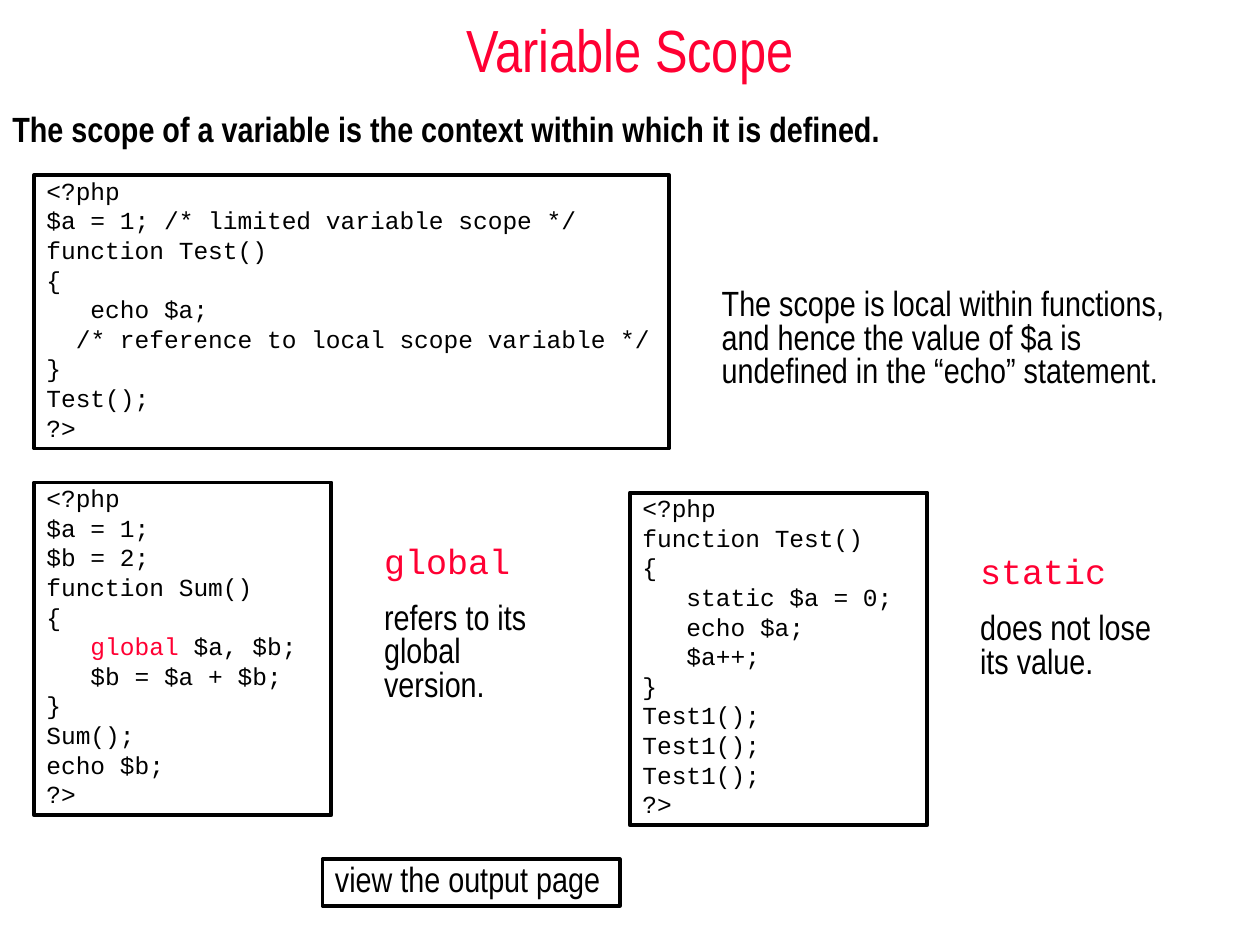
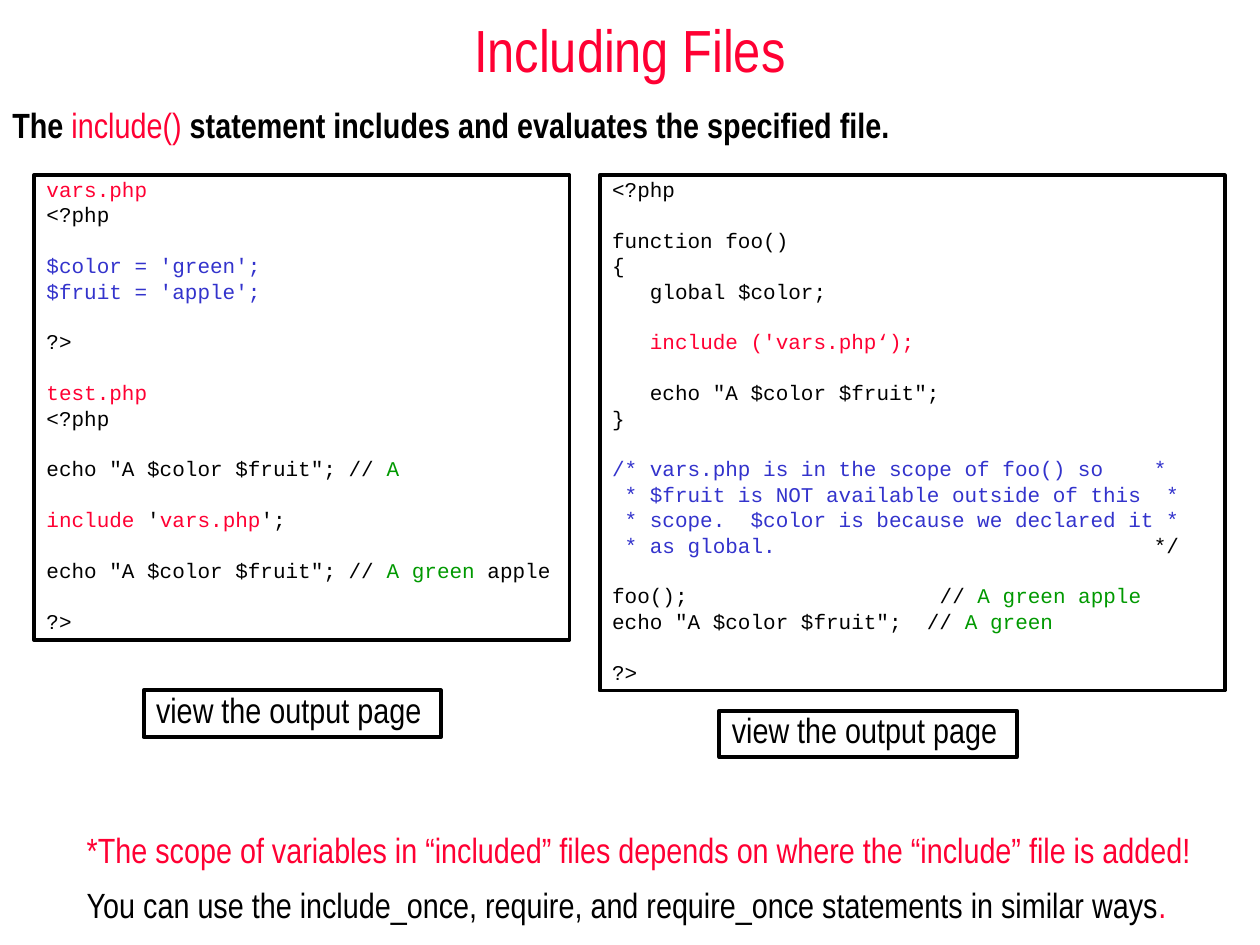
"""Build two slides on PHP variable scope and file inclusion."""
from pptx import Presentation
from pptx.dml.color import RGBColor
from pptx.enum import shapes, text
from pptx.oxml import ns, xmlchemy
from pptx import util as u

PX = 9144
BLACK = RGBColor(0x00, 0x00, 0x00)
RED = RGBColor(0xFF, 0x00, 0x33)
BLUE = RGBColor(0x33, 0x33, 0xCC)
GREEN = RGBColor(0x00, 0x99, 0x00)
SANS, MONO = "Arial Narrow", "Courier New"
CHAR_WIDTH = 0.6

TITLE = {"name": SANS, "size": 34, "color": RED, "bold": False, "before": 0, "line": 1.0}
PROSE = {"name": SANS, "size": 20, "color": BLACK, "bold": False, "before": 12.5, "line": 0.8}
LEAD = PROSE | {"bold": True, "before": 5}
CODE = PROSE | {"name": MONO, "size": 14, "before": 3.5}
SMALL_CODE = CODE | {"size": 12, "before": 3}


def add_spans(para, spans, style):
    """Add strings, (string, changes) pairs, and tab columns given as whole numbers."""
    properties = para._p.get_or_add_pPr()
    for item in spans:
        if isinstance(item, int):
            stops = xmlchemy.OxmlElement("a:tabLst")
            stop = xmlchemy.OxmlElement("a:tab")
            stop.set("pos", str(u.Pt(item * CHAR_WIDTH * style["size"])))
            stop.set("algn", "l")
            stops.append(stop)
            properties.append(stops)
            item = "\t"
        words, changes = item if isinstance(item, tuple) else (item, {})
        look = style | changes
        span = para.add_run()
        span.text = words
        for name, value in {"name": look["name"], "size": u.Pt(look["size"]),
                            "bold": look["bold"]}.items():
            setattr(span.font, name, value)
        span.font.color.rgb = look["color"]


def add_text(page, place, lines, style, framed=False):
    """Add a text box or framed box; an empty line widens the gap above the next one."""
    left, top, width, height = (n * PX for n in place)
    if framed:
        box = page.shapes.add_shape(shapes.MSO_SHAPE.RECTANGLE, left, top, width, height)
        box.shadow.inherit = False
        box.fill.background()
        box.line.color.rgb = BLACK
        box.line.width = u.Pt(2.25)
    else:
        box = page.shapes.add_textbox(left, top, width, height)
    frame = box.text_frame
    for name, value in {"word_wrap": True, "auto_size": text.MSO_AUTO_SIZE.NONE,
                        "vertical_anchor": text.MSO_ANCHOR.TOP}.items():
        setattr(frame, name, value)
    pitch = style["before"] + 1.2 * style["size"] * style["line"]
    skipped, started = 0, False
    for line in lines:
        spans = line if isinstance(line, list) else [line]
        if spans == [""]:
            skipped += 1
            continue
        para = frame.add_paragraph() if started else frame.paragraphs[0]
        for name, value in {"alignment": text.PP_ALIGN.LEFT, "line_spacing": style["line"],
                            "space_before": u.Pt(style["before"] + skipped * pitch)}.items():
            setattr(para, name, value)
        first, *others = spans
        words, changes = first if isinstance(first, tuple) else (first, {})
        indent = len(words) - len(words.lstrip())
        if indent > 1:
            para._p.get_or_add_pPr().set("marL", str(u.Pt(indent * CHAR_WIDTH * style["size"])))
            words = words.lstrip()
        add_spans(para, [(words, changes), *others], style)
        skipped, started = 0, True
    return frame


red, blue, green = ({"color": color} for color in (RED, BLUE, GREEN))
keyword = red | {"name": MONO}

scope_boxes = [
    ((27, 139, 504, 217), CODE, [
        "<?php", "$a = 1; /* limited variable scope */", "function Test()", "{",
        "   echo $a;", "  /* reference to local scope variable */", "}", "Test();", "?>"]),
    ((27, 383, 236, 264), CODE, [
        "<?php", "$a = 1;", "$b = 2;", "function Sum()", "{",
        [("   global", red), " $a, $b;"], "   $b = $a + $b;", "}", "Sum();", "echo $b;", "?>"]),
    ((500, 391, 236, 264), CODE, [
        "<?php", "function Test()", "{", "   static $a = 0;", "   echo $a;", "   $a++;", "}",
        *["Test1();"] * 3, "?>"]),
]
scope_notes = [
    ((563, 225, 394, 90), ["The scope is local within functions, and hence the value of $a is "
                           "undefined in the “echo” statement."]),
    ((295, 430, 165, 134), [("global", keyword), "refers to its global version."]),
    ((768, 438, 181, 108), [("static", keyword), "does not lose its value."]),
]

echo = 'echo "A $color $fruit"; // '
include_boxes = [
    ((27, 139, 425, 369), SMALL_CODE, [
        ("vars.php", red), "<?php", "",
        ("$color = 'green';", blue), ("$fruit = 'apple';", blue), "", "?>", "",
        ("test.php", red), "<?php", "",
        [echo, ("A", green)], "",
        [("include", red), " '", ("vars.php", red), "';"], "",
        [echo, ("A green", green), " apple"], "", "?>"]),
    ((476, 139, 496, 409), SMALL_CODE, [
        "<?php", "", "function foo()", "{", "   global $color;", "",
        ("   include ('vars.php‘);", red), "", '   echo "A $color $fruit";', "}", "",
        [("/* vars.php is in the scope of foo() so", blue), 43, ("*", blue)],
        (" * $fruit is NOT available outside of this  *", blue),
        (" * scope.  $color is because we declared it *", blue),
        [(" * as global.", blue), 43, "*/"], "",
        ["foo();", 26, "// ", ("A green apple", green)],
        ['echo "A $color $fruit";  // ', ("A green", green)], "", "?>"]),
]
include_notes = [
    ((59, 659, 906, 81), [
        ("*The scope of variables in “included” files depends on where the “include” file "
         "is added!", red),
        ["You can use the include_once, require, and require_once statements in similar ways",
         (".", red)]]),
]

slides = [
    ("Variable Scope", ["The scope of a variable is the context within which it is defined."],
     0.9, scope_boxes, scope_notes, [(256, 682)]),
    ("Including Files",
     ["The ", ("include()", red | {"bold": False}),
      " statement includes and evaluates the specified file."],
     0.8, include_boxes, include_notes, [(114, 548), (571, 564)]),
]

deck = Presentation()
deck.slide_width, deck.slide_height = 1000 * PX, 750 * PX
for title, lead, lead_spacing, code_boxes, notes, buttons in slides:
    page = deck.slides.add_slide(deck.slide_layouts[6])
    heading = add_text(page, (0, 0, 1000, 78), [title], TITLE)
    heading.vertical_anchor = text.MSO_ANCHOR.MIDDLE
    heading.paragraphs[0].alignment = text.PP_ALIGN.CENTER
    add_text(page, (0, 84, 1000, 45), [lead], LEAD | {"line": lead_spacing})
    for place, style, lines in code_boxes:
        add_text(page, place, lines, style, framed=True)
    for place, lines in notes:
        add_text(page, place, lines, PROSE)
    for left, top in buttons:
        add_text(page, (left, top, 236, 37), ["view the output page"], PROSE, framed=True)

deck.save("out.pptx")
